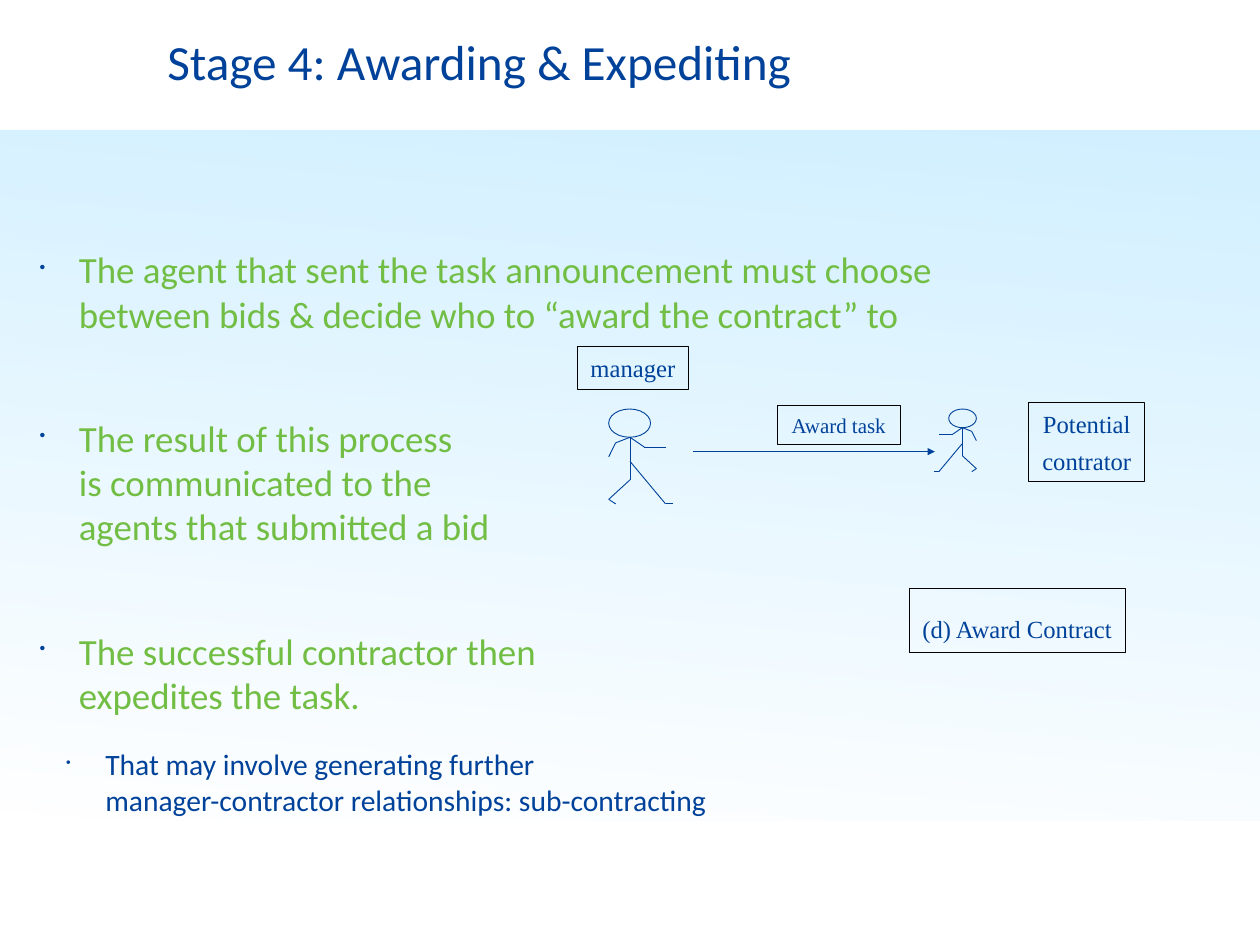
from itertools import pairwise

from lxml.etree import SubElement
from pptx import Presentation
from pptx.dml.color import RGBColor
from pptx.enum.shapes import MSO_CONNECTOR as Connector, MSO_SHAPE as Shape
from pptx.enum.text import MSO_ANCHOR as Anchor, PP_ALIGN as Align
from pptx.oxml.ns import qn
from pptx.util import Cm, Pt

BLUE, GREEN, BLACK = "00429A", "72BE44", "000000"
SANS, SERIF = "Calibri", "Times New Roman"

HEAD_WIDTH, HEAD_HEIGHT = 1.2, 0.81
LIMBS = [
    [(0.61, 0.81), (0.61, 1.5), (0.61, 2.03), (0, 2.59), (0.2, 2.72)],
    [(0.61, 1.5), (1.63, 2.72), (1.83, 2.72)],
    [(0.61, 0.81), (0.2, 0.97), (0, 1.37)],
    [(0.61, 0.81), (1.02, 1.09), (1.63, 1.09)],
]

BULLETS = [
    (["The agent that sent the task announcement must choose between bids "
      "& decide who to “award the contract” to"], 30, GREEN, 1.12, 0),
    (["The result of this process", "is communicated to the",
      "agents that submitted a bid"], 30, GREEN, 1.12, 65),
    (["The successful contractor then", "expedites the task."],
     30, GREEN, 1.12, 65),
    (["That may involve generating further",
      "manager-contractor relationships: sub-contracting"],
     24, BLUE, 1.88, 24),
]

LABELS = [
    (["manager"], 16.56, 9.93, 3.17, 1.24, 20, 0.18),
    (["Award task"], 22.28, 11.63, 3.53, 1.12, 17, 0.18),
    (["Potential", "contrator"], 29.49, 11.53, 3.33, 2.29, 20, 0.18),
    (["(d) Award Contract"], 26.06, 16.87, 6.2, 1.83, 20, 0.64),
]


def color(value):
    return RGBColor.from_string(value)


class SlideBuilder:
    """Draws styled elements on the current slide."""

    def __init__(self, slide):
        self.slide = slide
        self.line_width = Pt(0.75)

    def shape(self, shapes, kind, left, top, width, height, line=None):
        shape = shapes.add_shape(kind, Cm(left), Cm(top), Cm(width), Cm(height))
        shape.shadow.inherit = False
        shape.fill.background()
        if line:
            shape.line.color.rgb = color(line)
            shape.line.width = self.line_width
        else:
            shape.line.fill.background()
        return shape

    def gradient_band(self, top, width, height):
        band = self.shape(self.slide.shapes, Shape.RECTANGLE, 0, top, width, height)
        band.fill.gradient()
        band.fill.gradient_angle = 265
        for stop, position, value in zip(
                band.fill.gradient_stops, (0, 1), ("66CCFF", "FFFFFF")):
            stop.position = position
            stop.color.rgb = color(value)
        for element in band._element.spPr.iter(qn("a:srgbClr")):
            SubElement(element, qn("a:alpha"), val="30000")

    def line(self, shapes, start, end, arrow=False):
        connector = shapes.add_connector(
            Connector.STRAIGHT, *(Cm(value) for value in (*start, *end)))
        connector.line.color.rgb = color(BLUE)
        connector.line.width = self.line_width
        if arrow:
            SubElement(connector.line._get_or_add_ln(), qn("a:tailEnd"), type="triangle")
        SubElement(connector._element.spPr, qn("a:effectLst"))

    def stick_figure(self, left, top, scale=1, mirrored=False):
        shapes = self.slide.shapes.add_group_shape().shapes
        direction = -scale if mirrored else scale
        width, height = HEAD_WIDTH * scale, HEAD_HEIGHT * scale
        head_left = left - width if mirrored else left
        self.shape(shapes, Shape.OVAL, head_left, top, width, height, BLUE)
        for limb in LIMBS:
            joints = [(left + x * direction, top + y * scale) for x, y in limb]
            for start, end in pairwise(joints):
                self.line(shapes, start, end)

    def run(self, paragraph, text, size, font, value):
        run = paragraph.add_run()
        run.text = text
        run.font.size = Pt(size)
        run.font.name = font
        run.font.color.rgb = color(value)

    def text_box(self, left, top, width, height):
        box = self.slide.shapes.add_textbox(Cm(left), Cm(top), Cm(width), Cm(height))
        frame = box.text_frame
        frame.word_wrap = True
        frame.margin_left = frame.margin_right = Cm(0.15)
        frame.margin_top = frame.margin_bottom = Cm(0.15)
        return frame

    def title(self, text, left, top, width, height):
        frame = self.text_box(left, top, width, height)
        self.run(frame.paragraphs[0], text, 40, SANS, BLUE)

    def bullet_list(self, bullets, left, top, width, height):
        frame = self.text_box(left, top, width, height)
        for index, (lines, size, value, indent, gap) in enumerate(bullets):
            paragraph = frame.add_paragraph() if index else frame.paragraphs[0]
            properties = paragraph._p.get_or_add_pPr()
            properties.set("marL", str(Cm(indent)))
            properties.set("indent", str(-Cm(1.12)))
            bullet_color = SubElement(properties, qn("a:buClr"))
            SubElement(bullet_color, qn("a:srgbClr"), val=BLUE)
            SubElement(properties, qn("a:buSzPct"), val="46000")
            SubElement(properties, qn("a:buChar"), char="•")
            paragraph.space_before = Pt(gap)
            for number, text in enumerate(lines):
                if number:
                    paragraph.add_line_break()
                self.run(paragraph, text, size, SANS, value)

    def label(self, lines, left, top, width, height, size, top_margin):
        box = self.shape(self.slide.shapes, Shape.RECTANGLE,
                         left, top, width, height, BLACK)
        frame = box.text_frame
        frame.word_wrap = False
        frame.vertical_anchor = Anchor.MIDDLE
        frame.margin_left = frame.margin_right = Cm(0.36)
        frame.margin_top, frame.margin_bottom = Cm(top_margin), Cm(0.18)
        for index, text in enumerate(lines):
            paragraph = frame.add_paragraph() if index else frame.paragraphs[0]
            paragraph.alignment = Align.CENTER
            paragraph.space_before = Pt(6 if index else 0)
            self.run(paragraph, text, size, SERIF, BLUE)


def main():
    presentation = Presentation()
    presentation.slide_width, presentation.slide_height = Cm(36.12), Cm(27.1)
    slide = presentation.slides.add_slide(presentation.slide_layouts[6])
    builder = SlideBuilder(slide)

    builder.gradient_band(3.73, 36.12, 19.81)
    builder.title("Stage 4: Awarding & Expediting", 4.65, 0.74, 29.29, 4.19)
    builder.bullet_list(BULLETS, 0.99, 6.93, 29.29, 18.01)
    builder.stick_figure(17.45, 11.73)
    builder.stick_figure(27.99, 11.73, 0.66, mirrored=True)
    builder.line(slide.shapes, (19.86, 12.95), (26.8, 12.95), arrow=True)
    for label in LABELS:
        builder.label(*label)

    presentation.save("out.pptx")


if __name__ == "__main__":
    main()
